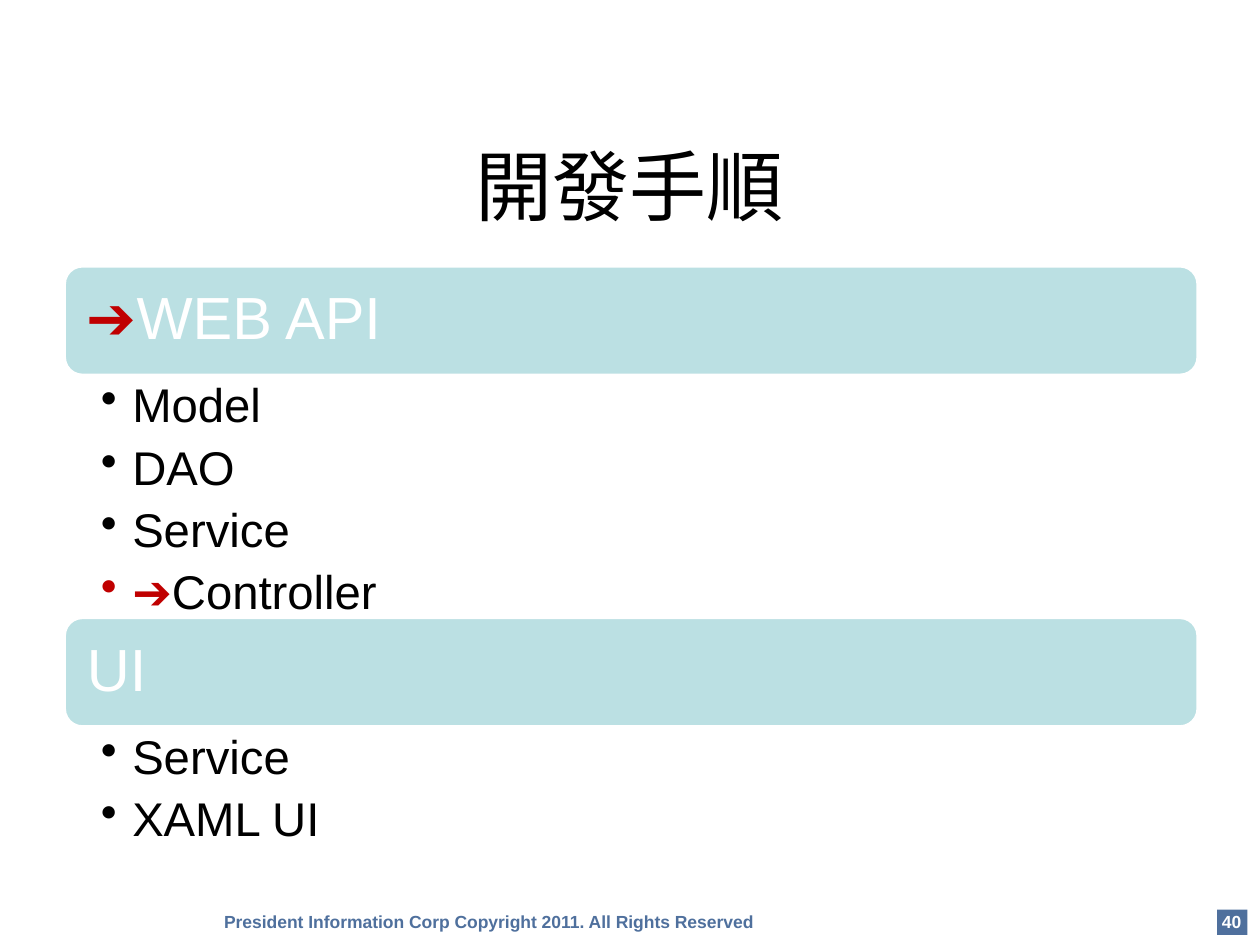
from lxml.etree import SubElement
from pptx import Presentation
from pptx.dml.color import RGBColor
from pptx.enum.shapes import MSO_SHAPE
from pptx.enum.text import MSO_ANCHOR, PP_ALIGN
from pptx.oxml.ns import qn
from pptx.util import Inches, Pt

BLACK = RGBColor(0, 0, 0)
WHITE = RGBColor(255, 255, 255)
RED = RGBColor(0xC0, 0, 0)
TEAL = RGBColor(0xBB, 0xE0, 0xE3)
BLUE = RGBColor(0x4F, 0x70, 0x9D)
ARROW = "➔"

deck = Presentation()
deck.slide_width = Inches(10)
deck.slide_height = Inches(7.5)
slide = deck.slides.add_slide(deck.slide_layouts[6])


def put_text(text, box, size, color, bold=False, align=PP_ALIGN.LEFT,
             anchor=MSO_ANCHOR.TOP, pads=(0.1, 0.05, 0.1, 0.05),
             wrap=True, bullet=False, space=None, after=None):
    frame = slide.shapes.add_textbox(*map(Inches, box)).text_frame
    frame.word_wrap = wrap
    frame.vertical_anchor = anchor
    (frame.margin_left, frame.margin_top,
     frame.margin_right, frame.margin_bottom) = map(Inches, pads)
    for i, line in enumerate(text.split("\n")):
        para = frame.paragraphs[0] if i == 0 else frame.add_paragraph()
        para.alignment = align
        para.line_spacing = space
        para.space_after = after
        if bullet:
            props = para._p.get_or_add_pPr()
            props.set("marL", str(Inches(0.25)))
            props.set("indent", str(Inches(-0.25)))
            SubElement(props, qn("a:buChar"), char="•")
        parts = [(line, color)]
        if line.startswith(ARROW):
            parts = [(ARROW, RED), (line[len(ARROW):], color)]
        for part, tint in parts:
            run = para.add_run()
            run.text = part
            run.font.name = "Arial"
            run.font.size = Pt(size)
            run.font.bold = bold
            run.font.color.rgb = tint


put_text("President Information Corp Copyright 2011. All Rights Reserved",
         (1.68, 7.18, 4.42, 0.27), 10, BLUE, bold=True, wrap=False)

badge = slide.shapes.add_shape(
    MSO_SHAPE.RECTANGLE, Inches(9.66), Inches(7.22), Inches(0.24), Inches(0.2))
badge.shadow.inherit = False
badge.fill.solid()
badge.fill.fore_color.rgb = BLUE
badge.line.fill.background()
put_text("40", (9.59, 7.18, 0.37, 0.27), 10, WHITE, bold=True,
         align=PP_ALIGN.CENTER, wrap=False)

put_text("開發手順", (0.5, 0.84, 9, 1.25), 44, BLACK,
         align=PP_ALIGN.CENTER, anchor=MSO_ANCHOR.MIDDLE)

groups = [
    (ARROW + "WEB API", ["Model", "DAO", "Service", ARROW + "Controller"], 1.92),
    ("UI", ["Service", "XAML UI"], 0.96),
]
left, top, width, high, edge = 0.51, 2.11, 9, 0.87, 0.04
for head, items, depth in groups:
    bar = slide.shapes.add_shape(
        MSO_SHAPE.ROUNDED_RECTANGLE,
        Inches(left), Inches(top), Inches(width), Inches(high))
    bar.shadow.inherit = False
    bar.fill.solid()
    bar.fill.fore_color.rgb = TEAL
    bar.line.color.rgb = WHITE
    bar.line.width = Pt(2)
    put_text(head, (left + edge, top + edge, width - 2 * edge, high - 2 * edge),
             34, WHITE, anchor=MSO_ANCHOR.MIDDLE, pads=[0.14] * 4, space=0.9)
    top += high
    put_text("\n".join(items), (left, top, width, depth), 27, BLACK,
             pads=(0.29, 0.05, 0.26, 0.05), bullet=True, space=0.9, after=Pt(6.5))
    top += depth

deck.save("out.pptx")
